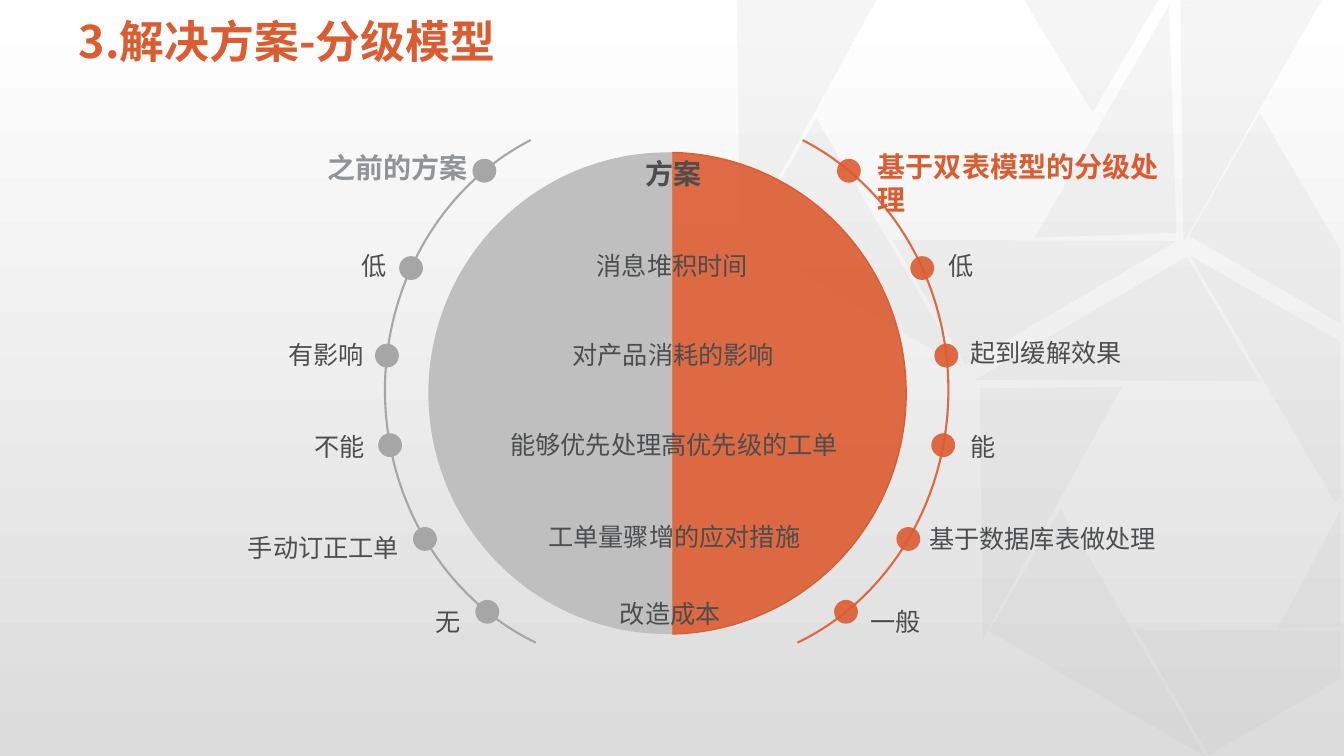
import math

import lxml.etree
import pptx
import pptx.dml.color
import pptx.enum.shapes
import pptx.enum.text
import pptx.oxml.ns
import pptx.util

Pt = pptx.util.Pt
RGBColor = pptx.dml.color.RGBColor
SHAPE = pptx.enum.shapes.MSO_SHAPE
ALIGN = pptx.enum.text.PP_ALIGN
qn = pptx.oxml.ns.qn

ORANGE = RGBColor(0xDC, 0x5C, 0x31)
DOT_GRAY = RGBColor(0xA6, 0xA6, 0xA6)
LIGHT_GRAY = RGBColor(0xBF, 0xBF, 0xBF)
HEADING_GRAY = RGBColor(0x91, 0x94, 0x97)
TEXT_GRAY = RGBColor(0x4B, 0x4D, 0x4F)
BACK_BOTTOM = RGBColor(0xDC, 0xDC, 0xDC)
BACK_TOP = RGBColor(0xFF, 0xFF, 0xFF)

LATIN_FONT = "Arial"
CHINESE_FONT = "Noto Sans CJK SC"

# left, top, width, height, rotation
TRIANGLES = [
    (710.6, 220.3, 175, 103, 149.8),
    (662.4, 315.4, 178.6, 101.5, 89.3),
    (720, 401, 178.6, 101.5, 30.1),
    (808.6, 35.3, 172.8, 101.5, 89.3),
    (488.9, 36, 178.6, 101.5, 89.3),
    (545.8, 122.4, 178.6, 101.5, 30.1),
    (651.6, 120.2, 175, 103, 329.8),
    (705.6, 36, 162.7, 101.5, 268.1),
]
POLYGONS = [
    [(811.4, 450), (957.6, 450.7), (957.6, 484.6), (863.3, 539.3)],
    [(957.6, 364.3), (957.6, 447.1), (913, 448.6)],
    [(850.3, 182.9), (957.6, 244.1), (957.6, 353.5), (954, 359.3)],
    [(900, 80.6), (957.6, 178.6), (957.6, 231.1), (849.6, 168.5)],
    [(731.5, 0), (827.3, 0), (780.5, 80.6)],
]

# dot centre, then left, top and text for: before, aspect, after
ROWS = [
    (122, (227, 103.7, "之前的方案"), (453.8, 108, "方案"), (620, 103, "基于双表模型的分级处理")),
    (191.5, (251.3, 175, "低"), (419, 175, "消息堆积时间"), (670.3, 175, "低")),
    (254, (198.7, 239, "有影响"), (401.8, 239, "对产品消耗的影响"), (686.2, 237.6, "起到缓解效果")),
    (318, (217.4, 304.6, "不能"), (357.3, 303, "能够优先处理高优先级的工单"), (686.2, 304.6, "能")),
    (385, (170, 376.6, "手动订正工单"), (384.5, 368.6, "工单量骤增的应对措施"), (656.6, 370, "基于数据库表做处理")),
    (437, (303.8, 429.8, "无"), (435.6, 424, "改造成本"), (614.9, 429.8, "一般")),
]

ARC_WIDTH, ARC_HEIGHT, ARC_TOP = 362, 394.5, 81.4
DOT = 17


def set_opacity(color_format_parent, percent):
    for color in color_format_parent.iter(qn("a:srgbClr")):
        alpha = lxml.etree.SubElement(color, qn("a:alpha"))
        alpha.set("val", str(percent * 1000))


def paint(shape, color, opacity=100):
    """Fill the shape flat, without outline or shadow."""
    shape.shadow.inherit = False
    shape.fill.solid()
    shape.fill.fore_color.rgb = color
    shape.line.fill.background()
    if opacity < 100:
        set_opacity(shape.fill._xPr.find(qn("a:solidFill")), opacity)


def add_preset(shapes, kind, left, top, width, height):
    return shapes.add_shape(kind, Pt(left), Pt(top), Pt(width), Pt(height))


def set_angles(shape, start, end):
    """Set the start and end of an arc or chord, in degrees clockwise."""
    shape.adjustments[0] = start * 0.6
    shape.adjustments[1] = end * 0.6


def add_run(paragraph, text, size, color, bold, latin=LATIN_FONT):
    run = paragraph.add_run()
    run.text = text
    font = run.font
    font.name, font.size, font.bold = latin, Pt(size), bold
    font.color.rgb = color
    east_asian = lxml.etree.SubElement(run._r.get_or_add_rPr(), qn("a:ea"))
    east_asian.set("typeface", CHINESE_FONT)


def add_label(slide, label, color, size, bold, align):
    left, top, text = label
    box = slide.shapes.add_textbox(
        Pt(left), Pt(top), Pt(len(text) * size + 14.4), Pt(size * 1.6))
    box.text_frame.word_wrap = False
    paragraph = box.text_frame.paragraphs[0]
    paragraph.alignment = align
    add_run(paragraph, text, size, color, bold)


def add_background(slide):
    fill = slide.background.fill
    fill.gradient()
    fill.gradient_angle = 90
    for stop, color in zip(fill.gradient_stops, (BACK_BOTTOM, BACK_TOP)):
        stop.color.rgb = color
    for stop, position in zip(fill.gradient_stops, (0, 1)):
        stop.position = position
    facets = slide.shapes.add_group_shape().shapes
    for *box, rotation in TRIANGLES:
        triangle = add_preset(facets, SHAPE.RIGHT_TRIANGLE, *box)
        triangle.rotation = rotation
        paint(triangle, LIGHT_GRAY, 14)
    for points in POLYGONS:
        corners = [(Pt(x), Pt(y)) for x, y in points]
        builder = facets.build_freeform(*corners[0])
        builder.add_line_segments(corners[1:], close=True)
        paint(builder.convert_to_shape(), LIGHT_GRAY, 14)


def add_half_disc(slide, start, end, color, opacity=100):
    half = add_preset(slide.shapes, SHAPE.CHORD, 306, 108.9, 341.3, 344)
    set_angles(half, start, end)
    paint(half, color, opacity)
    return half


def add_side(slide, left, direction, start, end, color, opacity=100):
    """Draw an arc with one dot per row; direction is 1 for right, -1 for left."""
    shapes = slide.shapes.add_group_shape().shapes
    arc = add_preset(shapes, SHAPE.ARC, left, ARC_TOP, ARC_WIDTH, ARC_HEIGHT)
    set_angles(arc, start, end)
    arc.shadow.inherit = False
    arc.fill.background()
    arc.line.color.rgb = color
    arc.line.width = Pt(1.5)
    if opacity < 100:
        set_opacity(arc.line._ln, opacity)
    for center_y, *_ in ROWS:
        rise = (center_y - ARC_TOP) / (ARC_HEIGHT / 2) - 1
        reach = math.sqrt(1 - rise ** 2)
        center_x = left + ARC_WIDTH / 2 * (1 + direction * reach)
        dot = add_preset(shapes, SHAPE.OVAL, center_x - DOT / 2,
                         center_y - DOT / 2, DOT, DOT)
        paint(dot, color, opacity)


def add_title(slide, text):
    title = slide.shapes.title
    title.left, title.top, title.width, title.height = Pt(49), Pt(10.8), Pt(862.6), Pt(62.6)
    title.text_frame.vertical_anchor = pptx.enum.text.MSO_ANCHOR.TOP
    paragraph = title.text_frame.paragraphs[0]
    paragraph.alignment = ALIGN.LEFT
    paragraph.line_spacing = 0.9
    add_run(paragraph, text, 32, ORANGE, True, CHINESE_FONT)


def main():
    presentation = pptx.Presentation()
    presentation.slide_width, presentation.slide_height = Pt(960), Pt(540)
    slide = presentation.slides.add_slide(presentation.slide_layouts[5])
    add_background(slide)
    add_title(slide, "3.解决方案-分级模型")

    right_half = add_half_disc(slide, 271.2, 88.8, ORANGE, 90)
    right_half.line.color.rgb = ORANGE
    right_half.line.width = Pt(1)
    add_half_disc(slide, 88.8, 271.2, LIGHT_GRAY)
    add_side(slide, 315.4, 1, 293.3, 67.9, ORANGE, 90)
    add_side(slide, 275, -1, 112.1, 246.7, DOT_GRAY)

    for index, (_, before, aspect, after) in enumerate(ROWS):
        heading = index == 0
        size = 20 if heading else 18
        add_label(slide, before, HEADING_GRAY if heading else TEXT_GRAY, size, heading, ALIGN.LEFT)
        add_label(slide, aspect, TEXT_GRAY, size, heading, ALIGN.CENTER)
        add_label(slide, after, ORANGE if heading else TEXT_GRAY, size, heading, ALIGN.LEFT)
    presentation.save("out.pptx")


if __name__ == "__main__":
    main()
